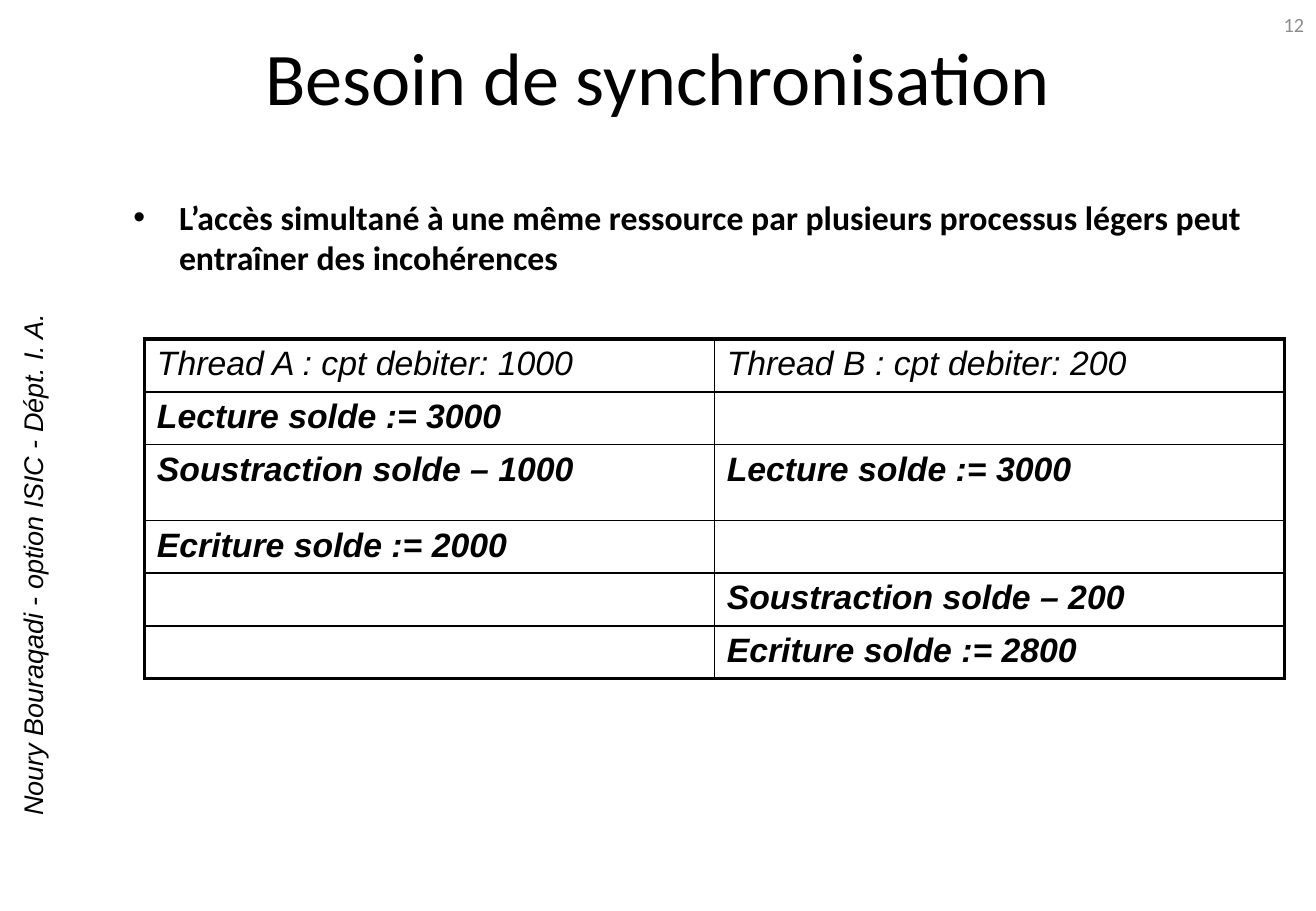
from lxml.etree import SubElement
from pptx import Presentation
from pptx.dml.color import RGBColor
from pptx.enum.text import MSO_ANCHOR as Anchor, PP_ALIGN as Align
from pptx.oxml.ns import qn
from pptx.util import Pt

# Content
TITLE = "Besoin de synchronisation"
BULLET = ("L’accès simultané à une même ressource par plusieurs processus légers "
          "peut entraîner des incohérences")
FOOTER = "Noury Bouraqadi - option ISIC - Dépt. I. A."
PAGE_NUMBER = "12"
STEPS = [
    ("Thread A : cpt debiter: 1000", "Thread B : cpt debiter: 200"),
    ("Lecture solde := 3000", ""),
    ("Soustraction solde – 1000", "Lecture solde := 3000"),
    ("Ecriture solde := 2000", ""),
    ("", "Soustraction solde – 200"),
    ("", "Ecriture solde := 2800"),
]
ROW_HEIGHTS = [50, 49, 75, 49, 49, 49]
COLUMN_WIDTH = 563

BLACK = RGBColor(0x00, 0x00, 0x00)
GREY = RGBColor(0x8C, 0x8C, 0x8C)
THICK, THIN = Pt(2.25), Pt(1)
PX = 7620  # 120 px to the inch


def px(*lengths):
    return [length * PX for length in lengths]


def style(paragraph, size, font, color=BLACK, bold=False, italic=False):
    paragraph.font.size = Pt(size)
    for run in paragraph.runs:
        run.font.size = Pt(size)
        run.font.name = font
        run.font.color.rgb = color
        run.font.bold = bold
        run.font.italic = italic


def add_text(slide, text, box, align, anchor, wrap=True, **look):
    shape = slide.shapes.add_textbox(*px(*box))
    frame = shape.text_frame
    frame.word_wrap = wrap
    frame.vertical_anchor = anchor
    frame.text = text
    frame.paragraphs[0].alignment = align
    style(frame.paragraphs[0], **look)
    return shape


def set_borders(cell, widths):
    properties = cell._tc.get_or_add_tcPr()
    for index, (side, width) in enumerate(widths.items()):
        line = SubElement(properties, qn("a:ln" + side), w=str(width))
        fill = SubElement(line, qn("a:solidFill"))
        SubElement(fill, qn("a:srgbClr"), val=str(BLACK))
        properties.insert(index, line)


presentation = Presentation()
presentation.slide_width, presentation.slide_height = px(1300, 900)
slide = presentation.slides.add_slide(presentation.slide_layouts[6])

# Sidebar, title and page number
sidebar = add_text(slide, FOOTER, (-229, 536, 522, 44), Align.CENTER, Anchor.MIDDLE,
                   wrap=False, size=16, font="Arial", italic=True)
sidebar.rotation = 270
add_text(slide, TITLE, (0, 0, 1300, 150), Align.CENTER, Anchor.MIDDLE,
         size=44, font="Calibri")
add_text(slide, PAGE_NUMBER, (997, 0, 303, 48), Align.RIGHT, Anchor.MIDDLE,
         size=12, font="Calibri", color=GREY)

# Bulleted statement
statement = add_text(slide, BULLET, (120, 188, 1158, 347), Align.LEFT, Anchor.TOP,
                     size=20, font="Calibri", bold=True)
bullet = statement.text_frame.paragraphs[0]._p.get_or_add_pPr()
bullet.set("marL", str(45 * PX))
bullet.set("indent", str(-45 * PX))
bullet_font = SubElement(bullet, qn("a:buFont"), typeface="Arial")
bullet_mark = SubElement(bullet, qn("a:buChar"), char="•")
bullet.insert(0, bullet_font)
bullet.insert(1, bullet_mark)

# Table of interleaved thread steps
row_count, column_count = len(STEPS), len(STEPS[0])
table = slide.shapes.add_table(
    row_count, column_count,
    *px(143, 335, COLUMN_WIDTH * column_count, sum(ROW_HEIGHTS))).table
table.first_row = table.horz_banding = False
for column in table.columns:
    column.width = COLUMN_WIDTH * PX
for r, (row, height) in enumerate(zip(table.rows, ROW_HEIGHTS)):
    row.height = height * PX
    for c, cell in enumerate(row.cells):
        cell.text = STEPS[r][c]
        style(cell.text_frame.paragraphs[0], 20, "Arial", bold=r > 0, italic=True)
        cell.fill.background()
        set_borders(cell, {
            "L": THICK if c == 0 else THIN,
            "R": THICK if c == column_count - 1 else THIN,
            "T": THICK if r == 0 else THIN,
            "B": THICK if r == row_count - 1 else THIN,
        })

presentation.save("out.pptx")
